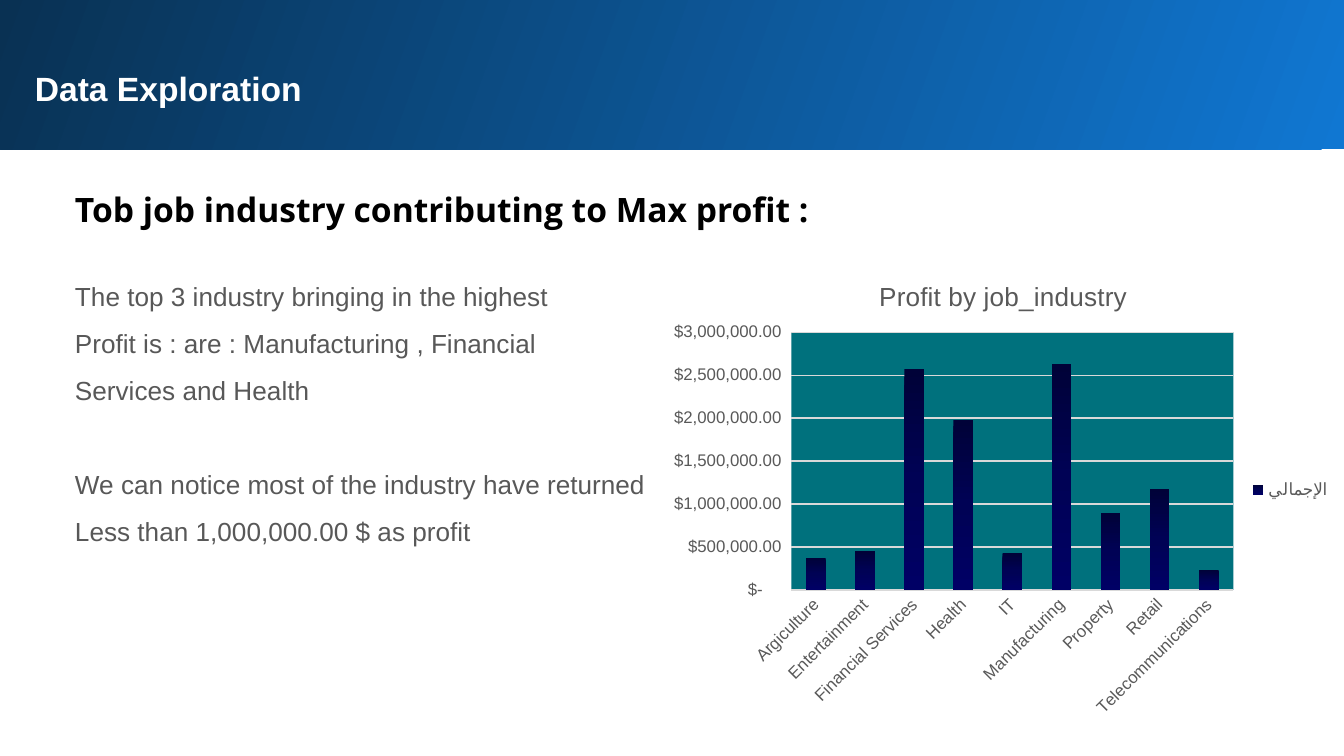
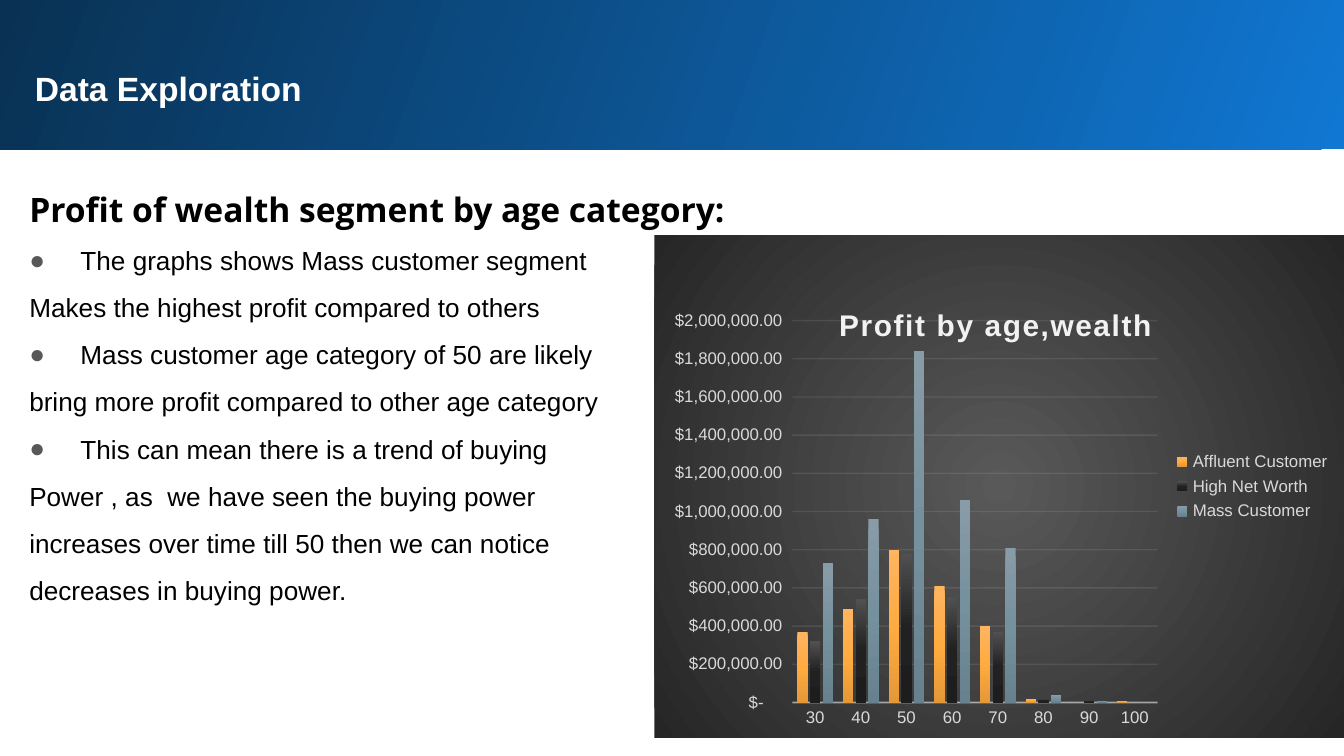
"""Build two data exploration slides, each with a title band, notes and a column chart."""
from lxml.etree import SubElement as Sub
from pptx import Presentation as Deck
from pptx.chart.data import CategoryChartData as Data
from pptx.dml.color import RGBColor as RGB
from pptx.enum.chart import XL_CHART_TYPE as Kind, XL_LEGEND_POSITION as Side, XL_TICK_MARK as Tick
from pptx.enum.shapes import MSO_SHAPE as Shape
from pptx.enum.text import MSO_ANCHOR as Anchor, PP_ALIGN as Align
from pptx.oxml import parse_xml
from pptx.oxml.ns import nsdecls, qn
from pptx.util import Pt

WHITE = RGB(0xFF, 0xFF, 0xFF)
BLACK = RGB(0, 0, 0)
GREY = RGB(0x58, 0x58, 0x58)
SLATE = RGB(0x59, 0x59, 0x59)
COAL = RGB(0x26, 0x26, 0x26)
SILVER = RGB(0xD9, 0xD9, 0xD9)
PALE = RGB(0xF2, 0xF2, 0xF2)
TEAL = RGB(0x00, 0x71, 0x7D)
LEMON = RGB(0xEE, 0xFF, 0x41)
SKY = RGB(0x10, 0x77, 0xD2)
NAVY = RGB(0x09, 0x31, 0x53)
AMBER = (RGB(0xFF, 0xB4, 0x61), RGB(0xFF, 0xAB, 0x40), RGB(0xE5, 0x98, 0x37))
INK = (RGB(0x50, 0x50, 0x50), RGB(0x21, 0x21, 0x21), RGB(0x1D, 0x1D, 0x1D))
STEEL = (RGB(0x88, 0x9C, 0xA7), RGB(0x76, 0x91, 0x9E), RGB(0x67, 0x81, 0x8E))

SANS = "Arial"
MONEY = '_-[$$-409]* #,##0.00_ ;_-[$$-409]* \\-#,##0.00\\ ;_-[$$-409]* "-"??_ ;_-@_ '
HEAD = {"size": Pt(18), "bold": True, "name": "Open Sans"}
BODY = {"size": Pt(14), "bold": False, "name": SANS}


def put(thing, vals):
    """Set each value in the dict on the thing."""
    for key, val in vals.items():
        setattr(thing, key, val)


def style(font, vals, tint):
    """Set the values and the colour of a font."""
    put(font, vals)
    font.color.rgb = tint


def blend(tints, angle=None):
    """Return a gradient fill, linear at an angle or else from the centre."""
    step = 100000 // (len(tints) - 1)
    stops = "".join(f'<a:gs pos="{i * step}"><a:srgbClr val="{t}"/></a:gs>'
                    for i, t in enumerate(tints))
    if angle is None:
        way = '<a:path path="circle"><a:fillToRect l="50000" t="50000" r="50000" b="50000"/></a:path>'
    else:
        way = f'<a:lin ang="{angle * 60000}" scaled="0"/>'
    return parse_xml(f'<a:gradFill {nsdecls("a")} rotWithShape="1">'
                     f'<a:gsLst>{stops}</a:gsLst>{way}</a:gradFill>')


def swap(props, fill):
    """Put a new fill in the place of the solid one."""
    props.replace(props.find(qn("a:solidFill")), fill)


def fade(root, share):
    """Make the line colours under a root partly clear."""
    for line in root.iter(qn("a:ln")):
        for tint in line.iter(qn("a:srgbClr")):
            Sub(tint, qn("a:alpha")).set("val", str(share * 1000))


def place(root, spot, index):
    """Give a chart part a manual layout, as shares of the chart."""
    for old in root.findall(qn("c:layout")):
        root.remove(old)
    lay = Sub(Sub(root, qn("c:layout")), qn("c:manualLayout"))
    if len(spot) == 4:
        Sub(lay, qn("c:layoutTarget")).set("val", "inner")
    for key in ("xMode", "yMode"):
        Sub(lay, qn("c:" + key)).set("val", "edge")
    for key, val in zip("xywh", spot):
        Sub(lay, qn("c:" + key)).set("val", str(val))
    root.insert(index, lay.getparent())


def band(slide, words):
    """Draw the title band."""
    box = slide.shapes.add_shape(Shape.RECTANGLE, 0, 0, Pt(720), Pt(80))
    box.shadow.inherit = False
    box.line.fill.background()
    box.fill.solid()
    swap(box.element.spPr, blend((SKY, NAVY), 200))
    frame = box.text_frame
    put(frame, {"word_wrap": True, "vertical_anchor": Anchor.MIDDLE, "margin_left": Pt(18.7),
                "margin_top": Pt(18), "margin_bottom": Pt(3.6)})
    par = frame.paragraphs[0]
    par.alignment = Align.LEFT
    run = par.add_run()
    run.text = words
    style(run.font, {**HEAD, "name": SANS}, WHITE)


def bullet(props):
    """Add a round grey bullet to a paragraph."""
    Sub(Sub(props, qn("a:buClr")), qn("a:srgbClr")).set("val", str(GREY))
    Sub(props, qn("a:buFont")).set("typeface", SANS)
    Sub(props, qn("a:buChar")).set("char", "●")


def notes(slide, left, head, lines, tint):
    """Write a heading and lines, each a text, a gap before and a bullet flag."""
    frame = slide.shapes.add_textbox(Pt(left), Pt(90.7), Pt(671), Pt(269.3)).text_frame
    put(frame, {"word_wrap": True, **{f"margin_{s}": Pt(7.2)
                                      for s in ("left", "top", "right", "bottom")}})
    rows = [(head, 0, False, 1.15, HEAD, BLACK)]
    rows += [(*line, 1.5, BODY, tint) for line in lines]
    for i, (words, gap, dot, pitch, face, shade) in enumerate(rows):
        par = frame.add_paragraph() if i else frame.paragraphs[0]
        put(par, {"line_spacing": pitch, "space_before": Pt(gap)})
        props = par._p.get_or_add_pPr()
        props.set("marL", str(Pt(36 if dot else 8.6)))
        props.set("indent", str(Pt(-27.4 if dot else 0)))
        if dot:
            bullet(props)
        run = par.add_run()
        run.text = words
        style(run.font, face, shade)


def graph(slide, kind, spot, cats, sets, bars, top, step, tint):
    """Add a column chart with its axes and legend."""
    data = Data(number_format="General")
    data.categories = cats
    for name, vals, _ in sets:
        data.add_series(name, vals)
    chart = slide.shapes.add_chart(kind, *map(Pt, spot), data).chart
    style(chart.font, {"size": Pt(10), "name": SANS}, BLACK)
    plot = chart.plots[0]
    put(plot, {"vary_by_categories": False, **bars})
    small = {"size": Pt(9), "name": SANS}
    chart.has_legend = True
    put(chart.legend, {"position": Side.RIGHT, "include_in_layout": False})
    style(chart.legend.font, small, tint)
    cat, val = chart.category_axis, chart.value_axis
    for axis in (cat, val):
        put(axis, {"major_tick_mark": Tick.NONE, "minor_tick_mark": Tick.NONE})
        style(axis.tick_labels.font, small, tint)
    put(val, {"minimum_scale": 0, "maximum_scale": top, "major_unit": step,
              "has_major_gridlines": True})
    put(val.tick_labels, {"number_format": MONEY, "number_format_is_linked": False})
    val.format.line.fill.background()
    roots = chart.element.iter(qn("c:ser"))
    for row, root, (_, _, fill) in zip(plot.series, roots, sets):
        row.invert_if_negative = False
        row.format.fill.solid()
        if isinstance(fill, tuple):
            swap(root.find(qn("c:spPr")), blend(fill, 90))
        else:
            row.format.fill.fore_color.rgb = fill
    return chart


def lines(chart, tint, wide):
    """Colour the base line and the grid."""
    grid = chart.value_axis.major_gridlines.format.line
    for line, size in ((chart.category_axis.format.line, wide), (grid, 0.75)):
        line.color.rgb = tint
        line.width = Pt(size)


def label(chart, words, vals, tint, spot, area):
    """Write the chart title and place it and the plot."""
    chart.has_title = True
    run = chart.chart_title.text_frame.paragraphs[0].add_run()
    run.text = words
    style(run.font, {"name": SANS, **vals}, tint)
    place(next(chart.element.iter(qn("c:title"))), spot, 1)
    place(next(chart.element.iter(qn("c:plotArea"))), area, 0)
    return run


def back(fill):
    """Return chart shape properties that hold a fill and no line."""
    props = parse_xml(f'<c:spPr {nsdecls("c", "a")}><a:ln><a:noFill/></a:ln></c:spPr>')
    props.insert(0, fill)
    return props


def trade(slide):
    """Fill the slide on profit by job industry."""
    notes(slide, 24.5, "Tob job industry contributing to Max profit :", [
        ("The top 3 industry bringing in the highest", 19, False),
        ("Profit is : are : Manufacturing , Financial", 0, False),
        ("Services and Health", 0, False),
        ("We can notice most of the industry have returned", 25, False),
        ("Less than 1,000,000.00 $ as profit", 0, False)], GREY)
    cats = ["Argiculture", "Entertainment", "Financial Services", "Health", "IT",
            "Manufacturing", "Property", "Retail", "Telecommunications"]
    vals = [370000, 450000, 2570000, 1980000, 430000, 2630000, 890000, 1180000, 230000]
    chart = graph(slide, Kind.COLUMN_STACKED, (350, 134.6, 370, 255.6), cats,
                  [("الإجمالي", vals, LEMON)], {"gap_width": 150, "overlap": 100},
                  3000000, 500000, SLATE)
    lines(chart, SILVER, 0.75)
    label(chart, "Profit by job_industry", {"size": Pt(14), "bold": False}, SLATE,
          (0.32, 0.05), (0.2, 0.17, 0.64, 0.54))
    axis = next(chart.element.iter(qn("c:catAx")))
    next(axis.iter(qn("a:bodyPr"))).set("rot", str(-45 * 60000))
    fill = parse_xml(f'<a:solidFill {nsdecls("a")}><a:srgbClr val="{TEAL}"/></a:solidFill>')
    next(chart.element.iter(qn("c:plotArea"))).append(back(fill))


def wealth(slide):
    """Fill the slide on profit by age and wealth."""
    notes(slide, 0, "Profit of wealth segment by age category:", [
        ("The graphs shows Mass customer segment", 0, True),
        ("Makes the highest profit compared to others", 0, False),
        ("Mass customer age category of 50 are likely", 0, True),
        ("bring more profit compared to other age category", 0, False),
        ("This can mean there is a trend of buying", 0, True),
        ("Power , as  we have seen the buying power", 0, False),
        ("increases over time till 50 then we can notice", 0, False),
        ("decreases in buying power.", 0, False)], BLACK)
    cats = [str(age) for age in range(30, 101, 10)]
    sets = [
        ("Affluent Customer", [370000, 490000, 800000, 610000, 400000, 20000, None, 10000], AMBER),
        ("High Net Worth", [320000, 540000, 780000, 550000, 370000, 20000, 10000, None], INK),
        ("Mass Customer", [730000, 960000, 1840000, 1060000, 810000, 40000, 10000, None], STEEL)]
    chart = graph(slide, Kind.COLUMN_CLUSTERED, (350.6, 126, 369.4, 269.3), cats, sets,
                  {"gap_width": 100, "overlap": -24}, 2000000, 200000, SILVER)
    lines(chart, PALE, 1)
    for name, share in (("c:catAx", 54), ("c:valAx", 10)):
        fade(next(chart.element.iter(qn(name))), share)
    run = label(chart, "Profit by age,wealth", {"size": Pt(16), "bold": True}, PALE,
                (0.26, 0.13), (0.2, 0.17, 0.53, 0.76))
    run.font._element.set("spc", "100")
    chart.element.find(qn("c:txPr")).addprevious(back(blend((SLATE, COAL))))


def main():
    """Build and save the deck."""
    deck = Deck()
    put(deck, {"slide_width": Pt(720), "slide_height": Pt(405)})
    for build in (trade, wealth):
        slide = deck.slides.add_slide(deck.slide_layouts[6])
        band(slide, "Data Exploration")
        build(slide)
    deck.save("out.pptx")


main()
